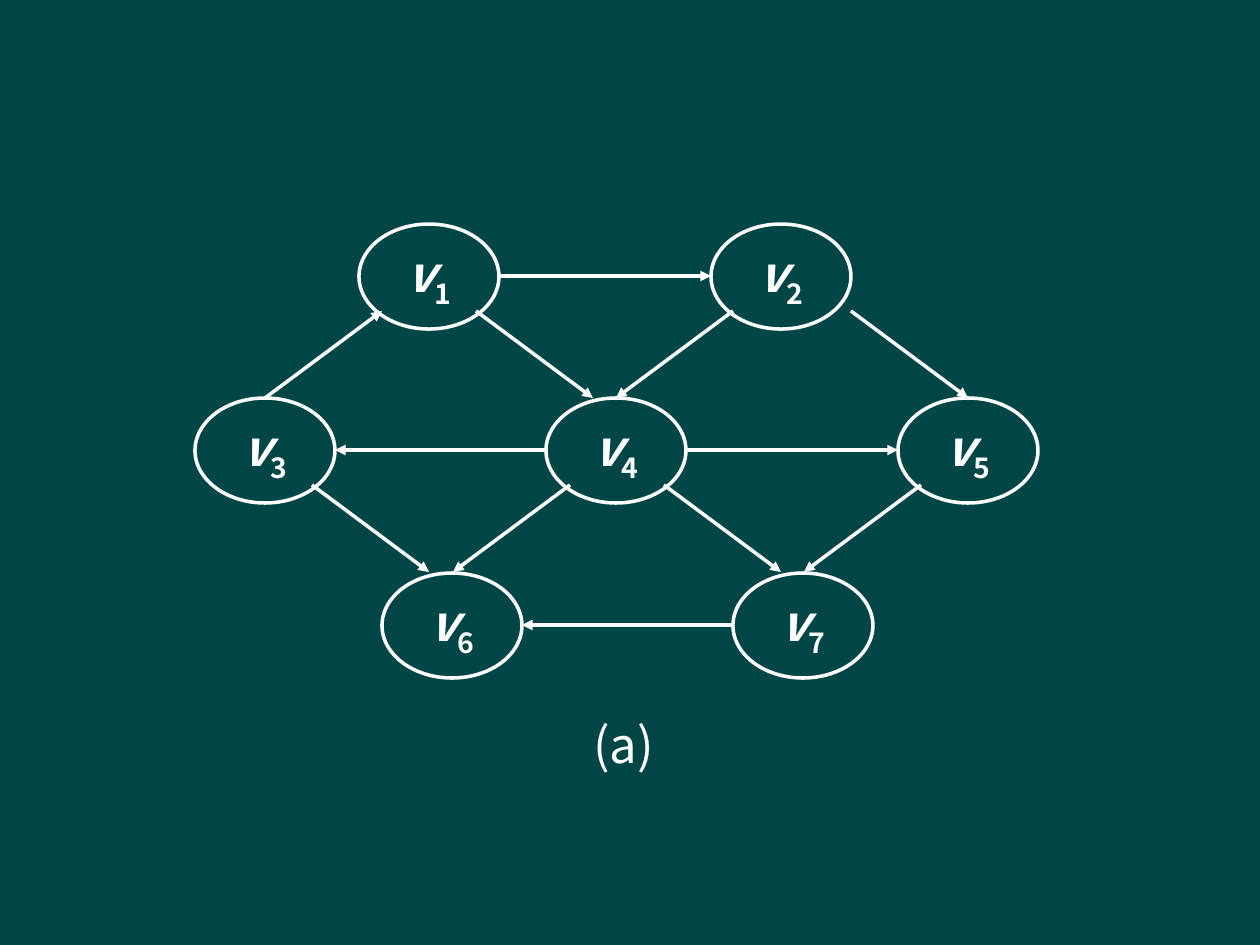
from lxml.etree import SubElement
from pptx import Presentation
from pptx.dml.color import RGBColor
from pptx.enum.shapes import MSO_CONNECTOR as CONN, MSO_SHAPE as SHAPE
from pptx.enum.text import MSO_ANCHOR as ANCHOR, MSO_AUTO_SIZE as FIT, PP_ALIGN as ALIGN
from pptx.oxml.ns import qn
from pptx.util import Emu, Pt

PX_PER_INCH = 126
BACKGROUND = "004646"
WHITE = "FFFFFF"
FONT = "Noto Sans CJK SC"
NODE_W, NODE_H = 140, 105
TOP, MIDDLE, BOTTOM = 224, 398, 573
EDGE_DX, EDGE_DY = 117, 87

NODES = {
    "1": (359, TOP), "2": (711, TOP),
    "3": (195, MIDDLE), "4": (546, MIDDLE), "5": (898, MIDDLE),
    "6": (382, BOTTOM), "7": (733, BOTTOM),
}
LEVEL_EDGES = [("1", "2"), ("4", "3"), ("4", "5"), ("7", "6")]
DOWN_EDGES = [
    (476, TOP, 1), (733, TOP, -1), (851, TOP, 1),
    (312, MIDDLE, 1), (570, MIDDLE, -1), (664, MIDDLE, 1), (921, MIDDLE, -1),
]


def px(n):
    return Emu(round(n * 914400 / PX_PER_INCH))


def color(value):
    return RGBColor.from_string(value)


def style_run(r, bold=False, italic=False):
    r.font.name = FONT
    r.font.size = Pt(28)
    r.font.bold = bold
    r.font.italic = italic
    r.font.color.rgb = color(WHITE)


def style_line(line):
    line.color.rgb = color(WHITE)
    line.width = Pt(2)


def add_node(s, number, left, top):
    sp = s.shapes.add_shape(SHAPE.OVAL, px(left), px(top), px(NODE_W), px(NODE_H))
    sp.shadow.inherit = False
    sp.fill.background()
    style_line(sp.line)
    tf = sp.text_frame
    tf.word_wrap = False
    tf.vertical_anchor = ANCHOR.MIDDLE
    p = tf.paragraphs[0]
    p.alignment = ALIGN.CENTER
    for text in ("v", number):
        r = p.add_run()
        r.text = text
        style_run(r, bold=True, italic=text == "v")
    r.font._element.set("baseline", "-25000")


def add_arrow(s, x1, y1, x2, y2):
    c = s.shapes.add_connector(CONN.STRAIGHT, px(x1), px(y1), px(x2), px(y2))
    style_line(c.line)
    SubElement(c.line._get_or_add_ln(), qn("a:tailEnd"), type="triangle")
    SubElement(c._element.spPr, qn("a:effectLst"))


def add_level_edge(s, start, end):
    x1, top = NODES[start]
    x2, _ = NODES[end]
    y = top + NODE_H // 2
    if x1 < x2:
        add_arrow(s, x1 + NODE_W, y, x2, y)
    else:
        add_arrow(s, x1, y, x2 + NODE_W, y)


def add_caption(s, text, left, top, width, height):
    tf = s.shapes.add_textbox(px(left), px(top), px(width), px(height)).text_frame
    tf.text = text
    tf.word_wrap = False
    tf.auto_size = FIT.SHAPE_TO_FIT_TEXT
    style_run(tf.paragraphs[0].runs[0])


def main():
    prs = Presentation()
    prs.slide_width, prs.slide_height = px(1260), px(945)
    s = prs.slides.add_slide(prs.slide_layouts[6])
    s.background.fill.solid()
    s.background.fill.fore_color.rgb = color(BACKGROUND)
    for number, (left, top) in NODES.items():
        add_node(s, number, left, top)
    for start, end in LEVEL_EDGES:
        add_level_edge(s, start, end)
    for x, row, side in DOWN_EDGES:
        y = row + EDGE_DY
        add_arrow(s, x, y, x + side * EDGE_DX, y + EDGE_DY)
    add_arrow(s, 265, MIDDLE, 265 + EDGE_DX, MIDDLE - EDGE_DY)
    add_caption(s, "(a)", 581, 708, 100, 72)
    prs.save("out.pptx")


if __name__ == "__main__":
    main()
